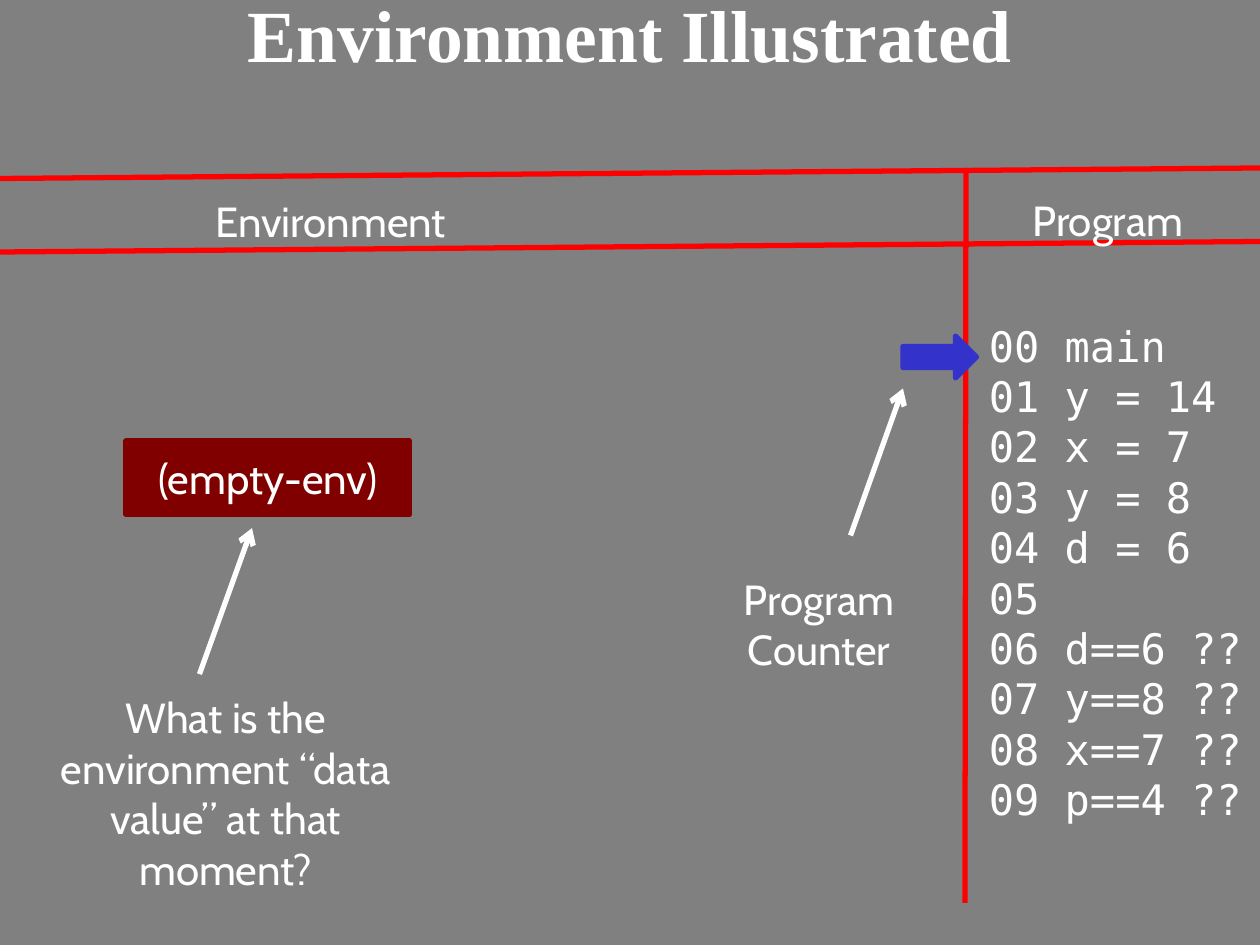
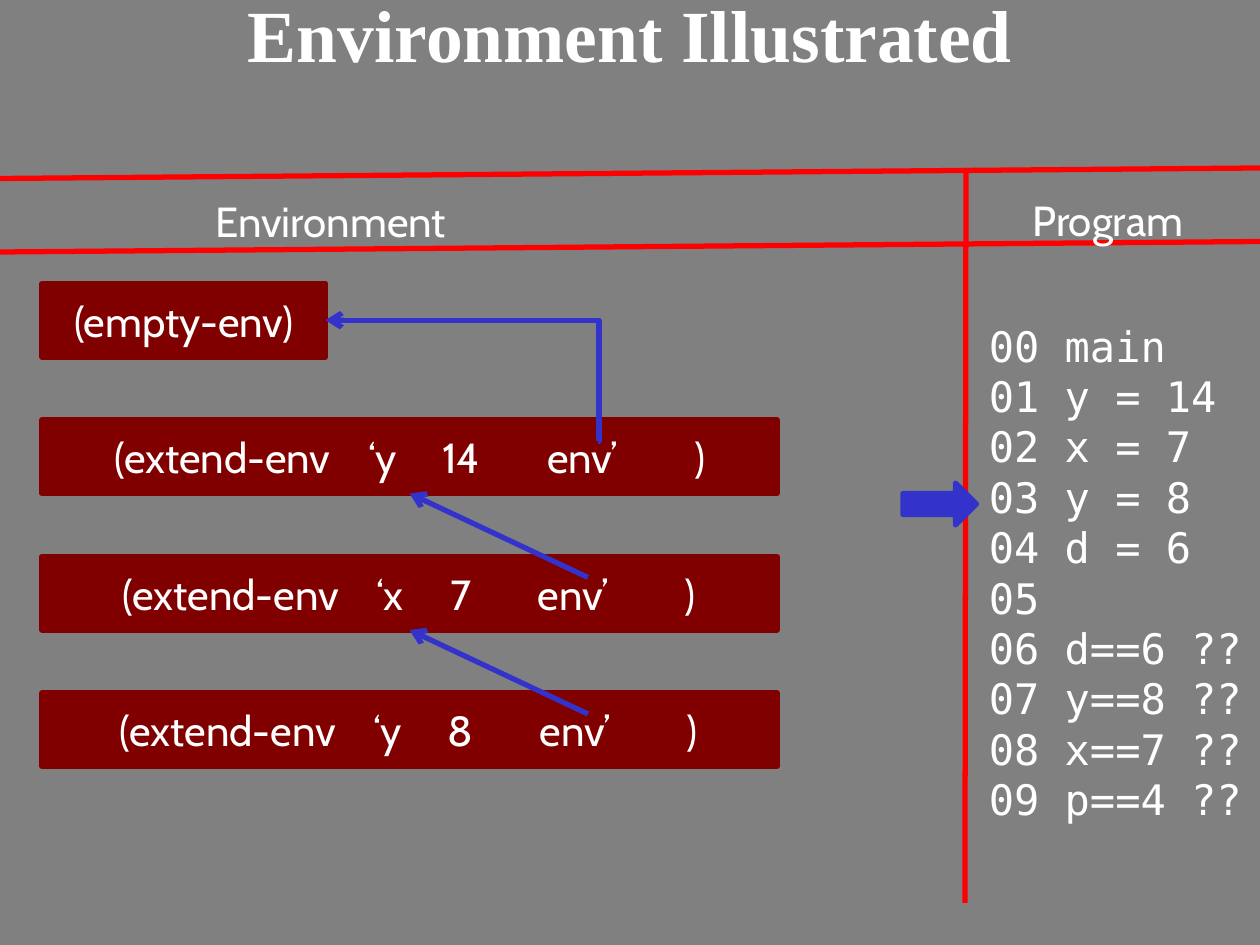
import pptx
import pptx.util
import pptx.dml.color
import pptx.enum.shapes
import pptx.enum.text
import pptx.oxml.ns
import lxml.etree
from dataclasses import dataclass

MSO = pptx.enum.shapes.MSO_SHAPE
LINK = pptx.enum.shapes.MSO_CONNECTOR
ALIGN = pptx.enum.text.PP_ALIGN
ANCHOR = pptx.enum.text.MSO_ANCHOR
FIT = pptx.enum.text.MSO_AUTO_SIZE
qn = pptx.oxml.ns.qn

# Content; every length is in grid units, 120 to the slide's width
TITLE = "Environment Illustrated"
PROGRAM = ["00 main", "01 y = 14", "02 x = 7", "03 y = 8", "04 d = 6",
           "05", "06 d==6 ??", "07 y==8 ??", "08 x==7 ??", "09 p==4 ??"]
HEADINGS = [("Environment", (4, 18, 55, 6.1)), ("Program", (92, 17.9, 27, 6.1))]
RULES = [((0, 24), (120, 23)), ((92, 16), (91.9, 86)), ((0, 17), (120, 16))]
EMPTY_ENV = "(empty-env)"
NOTES = [  # text, box, arrow start, arrow end
    ("Program Counter", (67, 54, 22, 10.9), (81, 51), (86, 37)),
    ("What is the environment “data value” at that moment?",
     (3, 65.3, 37, 20.6), (19, 64.2), (24, 50.3)),
]
BINDINGS = [  # name, value, text start, column of env
    ("‘y", "14", 6.9, 41.2),
    ("‘x", "7", 7.7, 39.5),
    ("‘y", "8", 7.4, 40),
]

# Grid rules
COLS, ROWS = 120, 90
ENV_LEFT, ENV_TOP, ENV_STEP = 4, 27, 13
EMPTY_W, RECORD_W, RECORD_H = 27, 70, 7
NAME_COL, VALUE_COL, PAREN_GAP = 24.2, 31.2, 14
COUNTER_TOP, COUNTER_STEP = 32, 14 / 3


@dataclass(frozen=True)
class Theme:
    back: str = "808080"
    text: str = "FFFFFF"
    rule: str = "FF0000"
    record: str = "800000"
    pointer: str = "3333CC"
    title_font: str = "Times New Roman"
    body_font: str = "Cabin"
    code_font: str = "DejaVu Sans Mono"
    title_size: int = 42
    body_size: int = 24
    code_pitch: float = 28.8
    line: int = 3


T = Theme()


def u(n):
    return pptx.util.Inches(n * 10 / COLS)


def rgb(code):
    return pptx.dml.color.RGBColor.from_string(code)


def add_run(p, text, font=T.body_font, size=T.body_size, bold=False):
    r = p.add_run()
    r.text = text
    r.font.name, r.font.size, r.font.bold = font, pptx.util.Pt(size), bold
    r.font.color.rgb = rgb(T.text)


def add_text(s, text, box):
    tf = s.shapes.add_textbox(*map(u, box)).text_frame
    tf.word_wrap = True
    tf.auto_size = FIT.SHAPE_TO_FIT_TEXT
    p = tf.paragraphs[0]
    p.alignment = ALIGN.CENTER
    add_run(p, text)


def add_block(s, kind, box, color):
    sp = s.shapes.add_shape(kind, *map(u, box))
    sp.shadow.inherit = False
    sp.fill.solid()
    sp.fill.fore_color.rgb = sp.line.color.rgb = rgb(color)
    sp.line.width = pptx.util.Pt(T.line)
    return sp


def add_line(s, start, end, color, arrow=True, kind=LINK.STRAIGHT):
    cx = s.shapes.add_connector(kind, *map(u, start + end))
    cx.line.color.rgb = rgb(color)
    cx.line.width = pptx.util.Pt(T.line)
    pr = cx._element.spPr
    lxml.etree.SubElement(pr, qn("a:effectLst"))
    if arrow:
        lxml.etree.SubElement(pr.find(qn("a:ln")), qn("a:tailEnd"), type="arrow")
    if kind == LINK.ELBOW:  # turn right at the start
        geom = pr.find(qn("a:prstGeom"))
        av = geom.find(qn("a:avLst"))
        if av is None:
            av = lxml.etree.SubElement(geom, qn("a:avLst"))
        lxml.etree.SubElement(av, qn("a:gd"), name="adj1", fmla="val -200")


def add_empty_env(s, left, top):
    sp = add_block(s, MSO.RECTANGLE, (left, top, EMPTY_W, RECORD_H), T.record)
    tf = sp.text_frame
    tf.word_wrap = False
    tf.vertical_anchor = ANCHOR.MIDDLE
    p = tf.paragraphs[0]
    p.alignment = ALIGN.CENTER
    add_run(p, EMPTY_ENV)


def add_binding(s, top, name, value, start, env_col):
    sp = add_block(s, MSO.RECTANGLE, (ENV_LEFT, top, RECORD_W, RECORD_H), T.record)
    tf = sp.text_frame
    tf.word_wrap = True
    tf.vertical_anchor = ANCHOR.MIDDLE
    tf.margin_left, tf.margin_right = u(start), 0
    p = tf.paragraphs[0]
    p.alignment = ALIGN.LEFT
    tabs = lxml.etree.SubElement(p._p.get_or_add_pPr(), qn("a:tabLst"))
    for col in (NAME_COL, VALUE_COL, env_col, env_col + PAREN_GAP):
        lxml.etree.SubElement(tabs, qn("a:tab"), pos=str(int(u(col))), algn="l")
    add_run(p, "\t".join(["(extend-env", name, value, "env’", ")"]))


def add_program(s, current):
    tf = s.shapes.add_textbox(*map(u, (93, 29.9, 27, 54.5))).text_frame
    tf.word_wrap = True
    for i, code in enumerate(PROGRAM):
        p = tf.paragraphs[0] if i == 0 else tf.add_paragraph()
        p.line_spacing = pptx.util.Pt(T.code_pitch)
        add_run(p, code, T.code_font)
    top = COUNTER_TOP + COUNTER_STEP * current
    add_block(s, MSO.RIGHT_ARROW, (86, top, 7, 4), T.pointer)


def add_slide(prs, empty_at, current):
    """Title, empty environment, ruled headings and program listing."""
    s = prs.slides.add_slide(prs.slide_layouts[5])
    sp = s.shapes.title
    sp.left, sp.top, sp.width, sp.height = map(u, (0, 0, COLS, 8))
    tf = sp.text_frame
    tf.auto_size = FIT.NONE
    tf.vertical_anchor = ANCHOR.BOTTOM
    p = tf.paragraphs[0]
    p.alignment = ALIGN.CENTER
    add_run(p, TITLE, T.title_font, T.title_size, True)
    add_empty_env(s, *empty_at)
    for start, end in RULES:
        add_line(s, start, end, T.rule, arrow=False)
    for text, box in HEADINGS:
        add_text(s, text, box)
    add_program(s, current)
    return s


def main():
    prs = pptx.Presentation()
    prs.slide_width, prs.slide_height = u(COLS), u(ROWS)
    fill = prs.slide_master.background.fill
    fill.solid()
    fill.fore_color.rgb = rgb(T.back)

    # Slide 1: the start of the program, with notes
    s = add_slide(prs, (12, 42), 0)
    for text, box, start, end in NOTES:
        add_line(s, start, end, T.text)
        add_text(s, text, box)

    # Slide 2: each binding points to the environment it extends
    s = add_slide(prs, (ENV_LEFT, ENV_TOP), 3)
    for i, binding in enumerate(BINDINGS):
        top = ENV_TOP + ENV_STEP * (i + 1)
        add_binding(s, top, *binding)
        if i == 0:
            add_line(s, (57, top + 2), (ENV_LEFT + EMPTY_W, ENV_TOP + RECORD_H / 2),
                     T.pointer, kind=LINK.ELBOW)
        else:
            add_line(s, (56, top + 2), (39, top - ENV_STEP + RECORD_H), T.pointer)

    prs.save("out.pptx")


if __name__ == "__main__":
    main()
